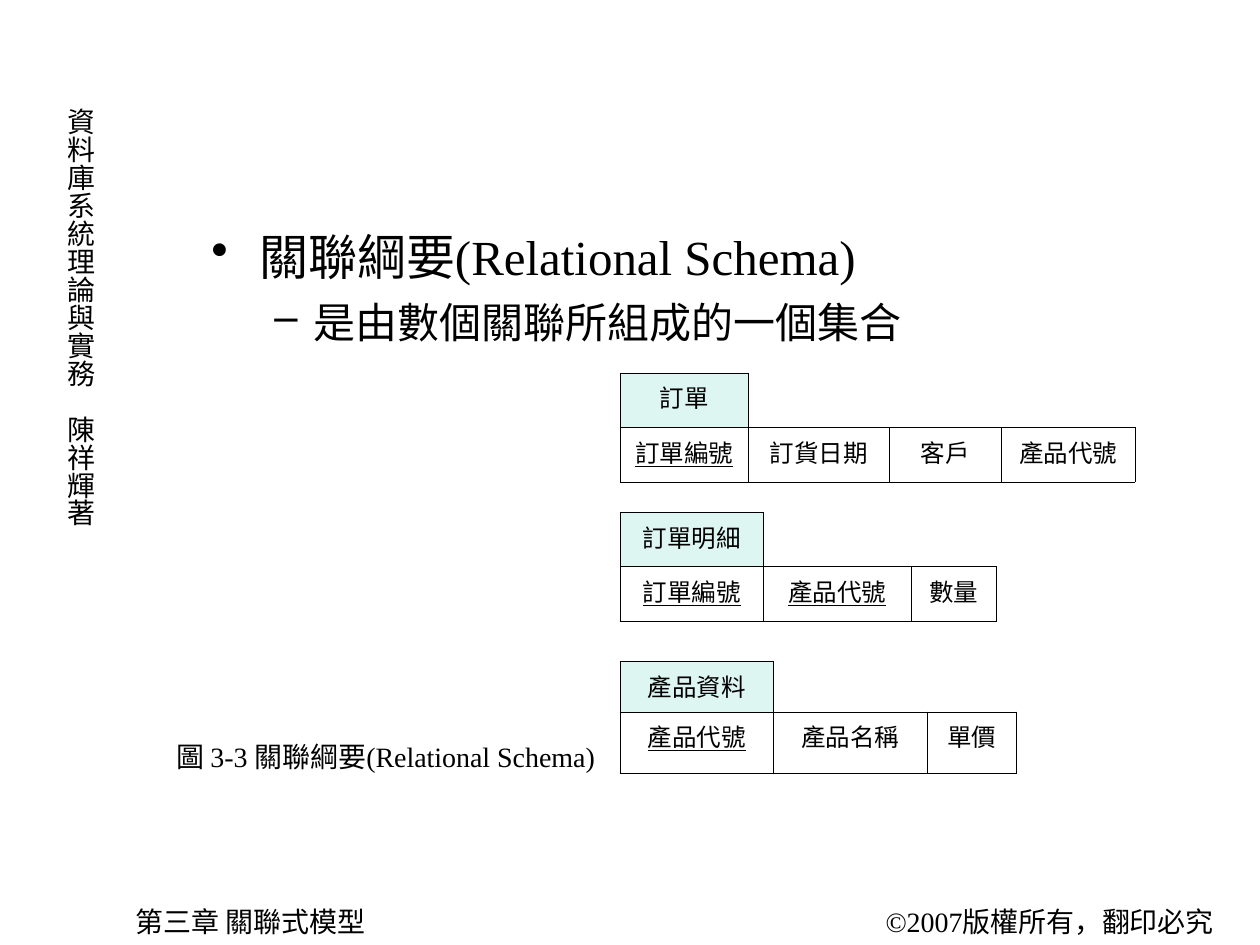
from lxml import etree
from pptx import Presentation
from pptx.dml.color import RGBColor
from pptx.enum.text import PP_ALIGN
from pptx.oxml.ns import qn
from pptx.util import Inches, Pt

CENTER = PP_ALIGN.CENTER
W, H = Inches(10), Inches(7.5)
FONT = "Times New Roman"
BLACK, WHITE, MINT = "000000", "FFFFFF", "DEF6F1"
PLAIN_STYLE = "{2D5ABB26-0587-4C30-8999-92F81FD0307C}"
TABLE_LEFT = 49.2

RELATIONS = [
    ("訂單", 39.47, (5.77, 5.77), {"訂單編號"},
     [("訂單編號", 10.2), ("訂貨日期", 11.2), ("客戶", 8.9), ("產品代號", 10.6)]),
    ("產品資料", 70, (5.3, 6.5), {"產品代號"},
     [("產品代號", 12.2), ("產品名稱", 12.2), ("單價", 7.1)]),
    ("訂單明細", 54.2, (5.77, 5.77), {"訂單編號", "產品代號"},
     [("訂單編號", 11.4), ("產品代號", 11.7), ("數量", 6.8)]),
]


def x(percent):
    return round(W * percent / 100)


def y(percent):
    return round(H * percent / 100)


def rgb(color):
    return RGBColor.from_string(color)


def add_text(p, text, size=16, align=None, underline=False):
    p.alignment = align
    r = p.add_run()
    r.text = text
    r.font.name = FONT
    r.font.size = Pt(size)
    r.font.underline = underline
    r.font.color.rgb = rgb(BLACK)


def add_box(s, left, top, width, height):
    tf = s.shapes.add_textbox(x(left), y(top), x(width), y(height)).text_frame
    tf.word_wrap = True
    return tf


def add_label(s, text, *area):
    add_text(add_box(s, *area).paragraphs[0], text)


def add_vertical_label(s, text, *area):
    tf = add_box(s, *area)
    tf.word_wrap = False
    tf.margin_left = tf.margin_right = Inches(0.05)
    tf.margin_top = tf.margin_bottom = Inches(0.1)
    tf._txBody.bodyPr.set("vert", "eaVert")
    add_text(tf.paragraphs[0], text)


def add_bullet(p, text, size, char, indent, hanging, level=0):
    p.level = level
    pPr = p._p.get_or_add_pPr()
    pPr.set("marL", str(Inches(indent)))
    pPr.set("indent", str(-Inches(hanging)))
    etree.SubElement(pPr, qn("a:buChar")).set("char", char)
    add_text(p, text, size)


def set_borders(cell, sides):
    tcPr = cell._tc.get_or_add_tcPr()
    for side in "LRTB":
        ln = etree.SubElement(tcPr, qn("a:ln" + side))
        if side in sides:
            ln.set("w", str(Pt(0.45)))
            fill = etree.SubElement(ln, qn("a:solidFill"))
            etree.SubElement(fill, qn("a:srgbClr")).set("val", BLACK)
        else:
            etree.SubElement(ln, qn("a:noFill"))


def fill_cell(cell, text, color, underline=False):
    set_borders(cell, "LRTB")
    cell.fill.solid()
    cell.fill.fore_color.rgb = rgb(color)
    add_text(cell.text_frame.paragraphs[0], text, 14, CENTER, underline)


def clear_cell(cell, sides):
    set_borders(cell, sides)
    cell.fill.background()


def add_relation(s, name, top, heights, keys, fields):
    width = sum(w for _, w in fields)
    frame = s.shapes.add_table(2, len(fields), x(TABLE_LEFT), y(top),
                               x(width), y(sum(heights)))
    table = frame.table
    table.first_row = table.horz_banding = False
    table._tbl.tblPr.find(qn("a:tableStyleId")).text = PLAIN_STYLE
    for row, height in zip(table.rows, heights):
        row.height = y(height)
    for i, (field, w) in enumerate(fields):
        table.columns[i].width = x(w)
        fill_cell(table.cell(1, i), field, WHITE, field in keys)
        if i == 0:
            fill_cell(table.cell(0, i), name, MINT)
        else:
            clear_cell(table.cell(0, i), "LB" if i == 1 else "B")


def add_body(s):
    tf = add_box(s, 15.8, 23.33, 80, 66)
    add_bullet(tf.paragraphs[0], "關聯綱要(Relational Schema)", 28, "•", 0.38, 0.38)
    p = tf.add_paragraph()
    p.space_before = Pt(6)
    add_bullet(p, "是由數個關聯所組成的一個集合", 24, "–", 0.81, 0.31, level=1)


def main():
    prs = Presentation()
    prs.slide_width, prs.slide_height = W, H
    s = prs.slides.add_slide(prs.slide_layouts[6])
    add_vertical_label(s, "資料庫系統理論與實務　陳祥輝著", 3.6, 10.13, 4.6, 47.2)
    add_label(s, "©2007版權所有，翻印必究", 69.3, 95.07, 30.3, 4.93)
    add_label(s, "第三章 關聯式模型", 9.8, 95.07, 39.4, 4.93)
    for relation in RELATIONS:
        add_relation(s, *relation)
    add_body(s)
    add_label(s, "圖 3-3 關聯綱要(Relational Schema)", 13, 77.6, 36.2, 8.53)
    prs.save("out.pptx")


if __name__ == "__main__":
    main()
